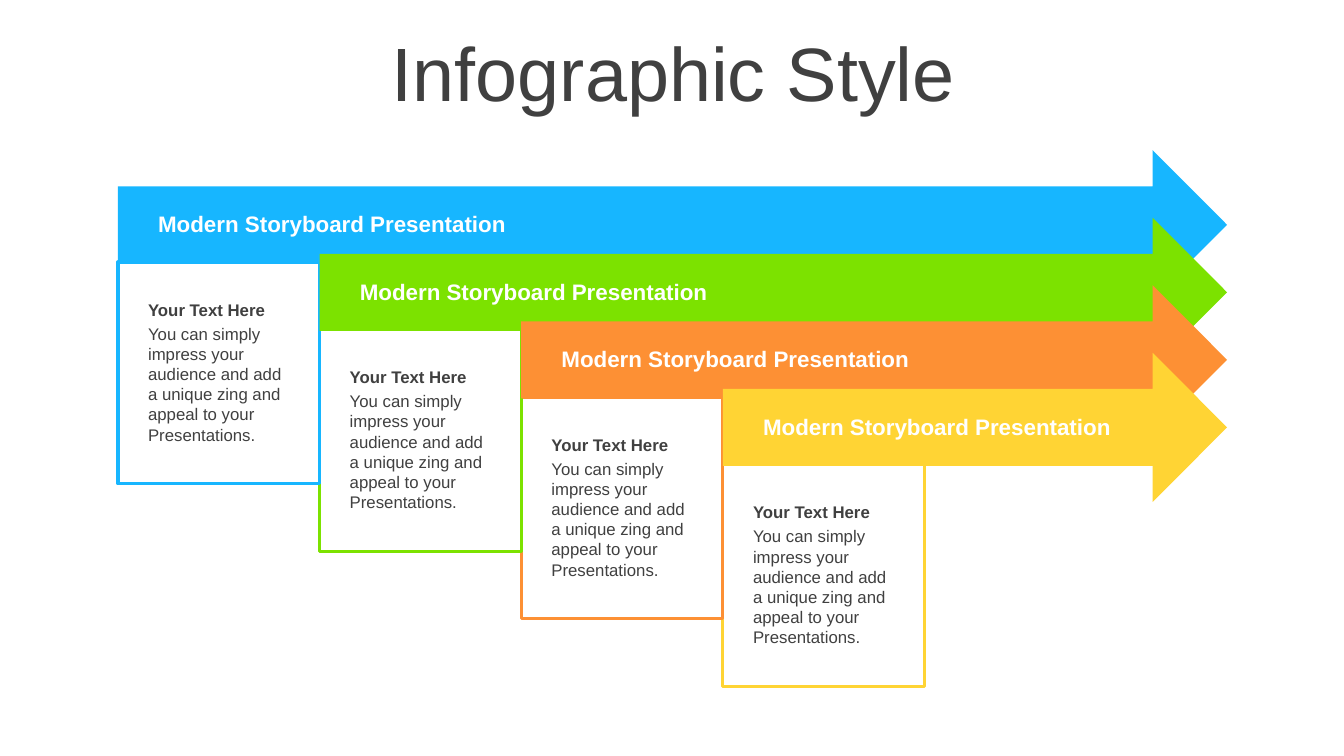
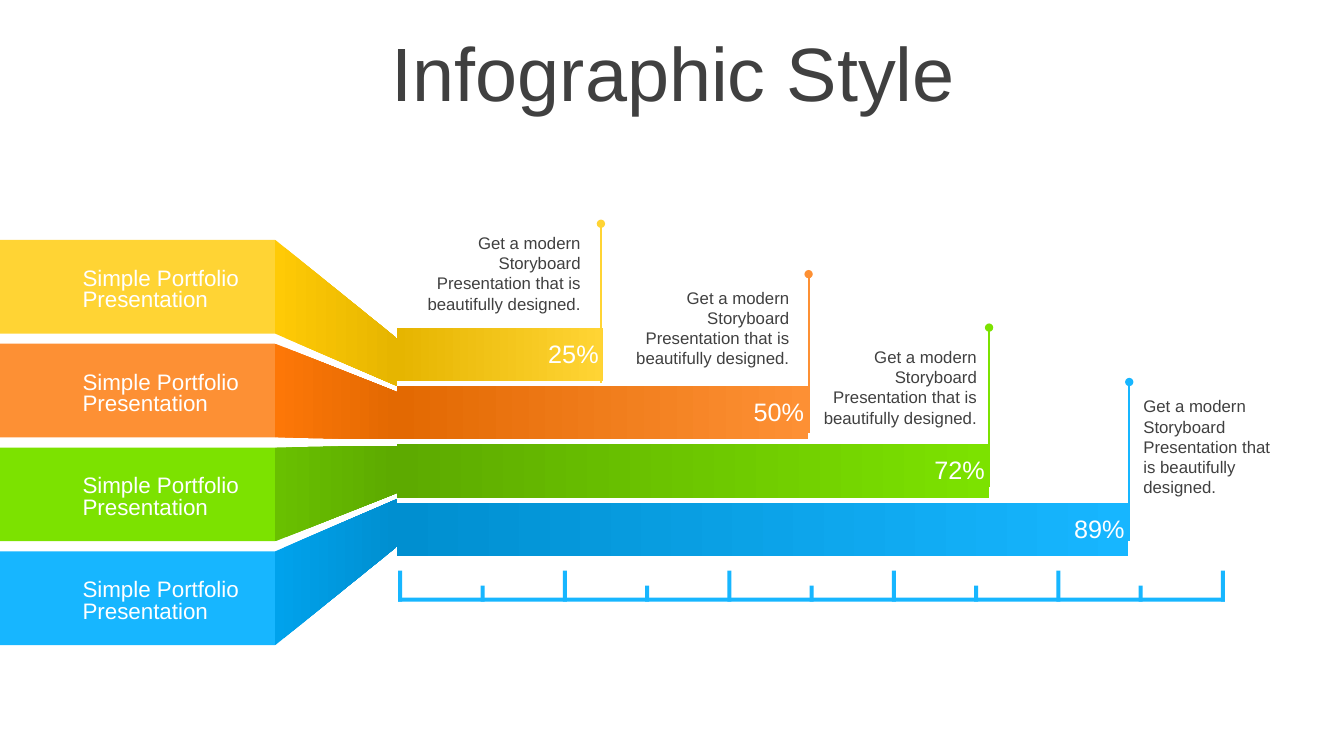
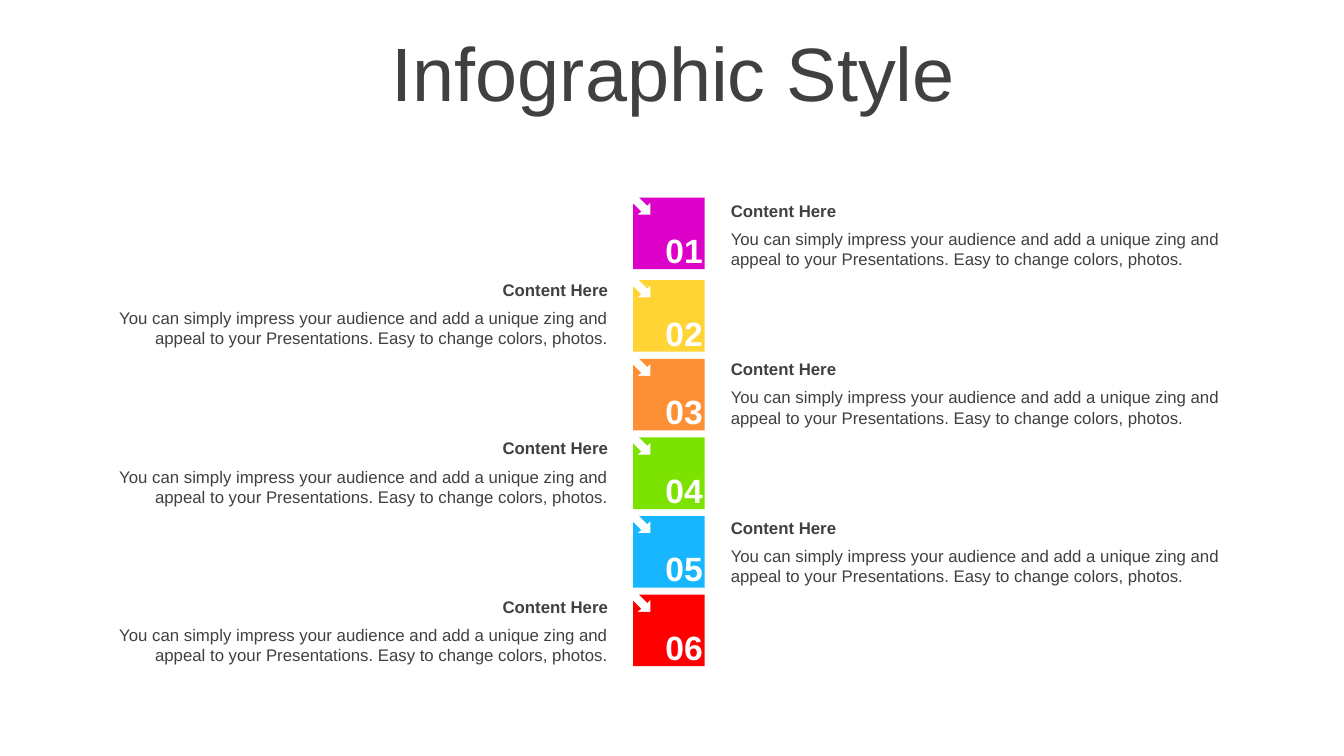
"""Build three infographic slides: stepped arrows, a bar fan and a numbered list."""
from lxml.etree import SubElement
from pptx import Presentation
from pptx.chart.data import CategoryChartData
from pptx.dml.color import RGBColor
from pptx.enum.chart import XL_CHART_TYPE, XL_LABEL_POSITION
from pptx.enum.shapes import MSO_CONNECTOR, MSO_SHAPE
from pptx.enum.text import MSO_ANCHOR, MSO_AUTO_SIZE, PP_ALIGN
from pptx.oxml import parse_xml
from pptx.oxml.ns import nsdecls, qn
from pptx.util import Inches, Pt

rgb = RGBColor.from_string
WHITE, DARK = "FFFFFF", "404040"
BLUE, GREEN, ORANGE, YELLOW = "17B6FF", "7CE200", "FD9034", "FFD434"
PINK, RED = "DC00C8", "FF0000"
LEFT, RIGHT = PP_ALIGN.LEFT, PP_ALIGN.RIGHT

BODY = {"name": "Arial", "size": Pt(12), "bold": False}
HEAD = {**BODY, "bold": True}
LABEL = {**BODY, "size": Pt(16)}
STRONG = {**LABEL, "bold": True}
NUMBER = {**HEAD, "size": Pt(24)}
TITLE = {**BODY, "size": Pt(54)}


def write(frame, text, look, hue=DARK, align=LEFT, inset=None, lead=None):
    """Fill a text frame with one formatted paragraph."""
    frame.word_wrap = True
    frame.auto_size = MSO_AUTO_SIZE.NONE
    if inset is not None:
        for side in ("left", "top", "right", "bottom"):
            setattr(frame, f"margin_{side}", Inches(inset))
    para = frame.paragraphs[0]
    para.text = text
    para.alignment = align
    para.line_spacing = lead
    font = para.runs[0].font
    for name, value in look.items():
        setattr(font, name, value)
    font.color.rgb = rgb(hue)


def paint(shape, *hues, edge=None):
    """Give a shape a plain or two-colour fill and an optional edge."""
    shape.shadow.inherit = False
    if len(hues) == 1:
        shape.fill.solid()
        shape.fill.fore_color.rgb = rgb(hues[0])
    else:
        shape.fill.gradient()
        shape.fill.gradient_angle = 0
        for stop, hue in zip(shape.fill.gradient_stops, hues):
            stop.color.rgb = rgb(hue)
    if edge:
        shape.line.color.rgb = rgb(edge)
        shape.line.width = Pt(2.25)
    else:
        shape.line.fill.background()


deck = Presentation()
deck.slide_width, deck.slide_height = Inches(13.33), Inches(7.5)
layout = deck.slide_layouts[5]
spot = {"left": 0.35, "top": 0.37, "width": 12.66, "height": 0.79}
for name, value in spot.items():
    setattr(layout.placeholders[0], name, Inches(value))
slides = [deck.slides.add_slide(layout) for _ in range(3)]
for slide in slides:
    frame = slide.shapes.title.text_frame
    frame.vertical_anchor = MSO_ANCHOR.MIDDLE
    write(frame, "Infographic Style", TITLE, align=PP_ALIGN.CENTER, lead=0.9)

steps, fan, points = [slide.shapes for slide in slides]

hues = [BLUE, GREEN, ORANGE, YELLOW]
for i in reversed(range(4)):
    box = map(Inches, (1.17 + 2 * i, 2.6 + 0.67 * i, 2, 2.2))
    paint(steps.add_shape(MSO_SHAPE.RECTANGLE, *box), WHITE, edge=hues[i])
for i, hue in enumerate(hues):
    box = map(Inches, (1.17 + 2 * i, 1.49 + 0.67 * i, 11 - 2 * i, 1.48))
    arrow = steps.add_shape(MSO_SHAPE.RIGHT_ARROW, *box)
    arrow.adjustments[0], arrow.adjustments[1] = 0.516, 0.498
    paint(arrow, hue)
pitch = "You can simply impress your audience and add a unique zing and appeal to your Presentations."
parts = [
    (1.47, 2.04, 4.21, 0.37, "Modern Storyboard Presentation", STRONG, WHITE),
    (1.37, 2.92, 1.65, 0.3, "Your Text Here", HEAD, DARK),
    (1.37, 3.16, 1.65, 1.31, pitch, BODY, DARK),
]
for i in range(4):
    for x, y, wide, high, text, look, hue in parts:
        box = map(Inches, (x + 2 * i, y + 0.67 * i, wide, high))
        write(steps.add_textbox(*box).text_frame, text, look, hue)

data = CategoryChartData()
data.categories = ["1", "2", "3", "4"]
data.add_series("Series 1", [89, 72, 50, 25])
box = map(Inches, (3.77, 3.18, 8.49, 2.41))
chart = fan.add_chart(XL_CHART_TYPE.BAR_STACKED, *box, data).chart
chart.has_legend = chart.has_title = False
chart.font.name, chart.font.size = "Arial", Pt(10)
for axis in (chart.category_axis, chart.value_axis):
    axis.visible = False
    axis.has_major_gridlines = False
chart.value_axis.minimum_scale, chart.value_axis.maximum_scale = 0, 100
plot = chart.plots[0]
plot.gap_width, plot.overlap = 9, 100
plot.vary_by_categories = False
plot.has_data_labels = True
labels = plot.data_labels
labels.show_value = True
labels.number_format, labels.number_format_is_linked = '0"%"', False
labels.position = XL_LABEL_POSITION.INSIDE_END
labels.font.name, labels.font.size = "Arial", Pt(18)
labels.font.color.rgb = rgb(WHITE)
area = chart.element.xpath(".//c:plotArea")[0]
for old in area.findall(qn("c:layout")):
    area.remove(old)
area.insert(0, parse_xml(
    f'<c:layout {nsdecls("c")}><c:manualLayout><c:layoutTarget val="inner"/>'
    '<c:xMode val="edge"/><c:yMode val="edge"/><c:x val="0.02"/><c:y val="0.02"/>'
    '<c:w val="0.96"/><c:h val="0.96"/></c:manualLayout></c:layout>'))

note = "Get a modern Storyboard Presentation that is beautifully designed."
bands = [
    (YELLOW, "FFCA06", "E6B500", 5.96, 2.22, 4.09, 2.31, 1.67, RIGHT),
    (ORANGE, "FD7707", "E36902", 8.02, 2.72, 6.16, 2.85, 1.67, RIGHT),
    (GREEN, "69C000", "5DAA00", 9.81, 3.25, 8.02, 3.44, 1.67, RIGHT),
    (BLUE, "00A2EC", "008FD0", 11.2, 3.79, 11.34, 3.93, 1.36, LEFT),
]
for i, (hue, near, far, pin, tip, x, y, wide, align) in enumerate(bands):
    point = plot.series[0].points[3 - i].format
    point.fill.gradient()
    point.fill.gradient_angle = 0
    for stop, tone in zip(point.fill.gradient_stops, (far, hue)):
        stop.color.rgb = rgb(tone)

    top, end = 2.38 + 1.03 * i, 3.36 + 0.53 * i
    box = map(Inches, (0, top, 2.73, 0.93))
    paint(fan.add_shape(MSO_SHAPE.RECTANGLE, *box), hue)
    start, *rest = [tuple(map(Inches, dot)) for dot in (
        (2.73, top), (3.94, end), (3.94, end + 0.47), (2.73, top + 0.93))]
    form = fan.build_freeform(*start)
    form.add_line_segments(rest)
    paint(form.convert_to_shape(), near, far)
    box = map(Inches, (0.72, top + 0.24, 1.82, 0.53))
    write(fan.add_textbox(*box).text_frame, "Simple Portfolio Presentation", LABEL, WHITE, lead=0.8)

    ends = map(Inches, (pin, tip, pin, tip + 1.58))
    line = fan.add_connector(MSO_CONNECTOR.STRAIGHT, *ends)
    line.line.color.rgb = rgb(hue)
    line.line.width = Pt(1.5)
    props = line.element.spPr
    SubElement(props.find(qn("a:ln")), qn("a:headEnd"), type="oval")
    SubElement(props, qn("a:effectLst"))
    box = map(Inches, (x, y, wide, 1.01))
    write(fan.add_textbox(*box).text_frame, note, BODY, align=align, inset=0)

ruler = [(3.95, 5.93, 8.2, 0.04)]
for i in range(11):
    high = 0.16 if i % 2 else 0.31
    ruler.append((3.95 + 8.16 * i / 10, 5.97 - high, 0.04, high))
for box in ruler:
    paint(fan.add_shape(MSO_SHAPE.RECTANGLE, *map(Inches, box)), BLUE)

text = pitch + " Easy to change colors, photos."
notch = [(0.06, 0), (0.71, 0), (0.71, 0.71), (0, 0.71), (0, 0.06),
         (0.08, 0.14), (0.04, 0.17), (0.17, 0.17), (0.17, 0.05), (0.14, 0.08)]
tops = [1.96] + [2.78 + 0.78 * i for i in range(5)]
for i, hue in enumerate([PINK, YELLOW, ORANGE, GREEN, BLUE, RED]):
    x, wide, align = (0.99, 5.14, RIGHT) if i % 2 else (7.15, 5.17, LEFT)
    y = 1.94 + 0.786 * i
    for drop, high, words, look in ((0, 0.3, "Content Here", HEAD), (0.28, 0.5, text, BODY)):
        box = map(Inches, (x, y + drop, wide, high))
        write(points.add_textbox(*box).text_frame, words, look, align=align)
    start, *rest = [(Inches(6.28 + dx), Inches(tops[i] + dy)) for dx, dy in notch]
    form = points.build_freeform(*start)
    form.add_line_segments(rest)
    paint(form.convert_to_shape(), hue)
    box = map(Inches, (6.48, tops[i] + 0.36, 0.49, 0.32))
    frame = points.add_textbox(*box).text_frame
    frame.vertical_anchor = MSO_ANCHOR.MIDDLE
    write(frame, f"{i + 1:02}", NUMBER, WHITE, RIGHT, inset=0)

deck.save("out.pptx")
